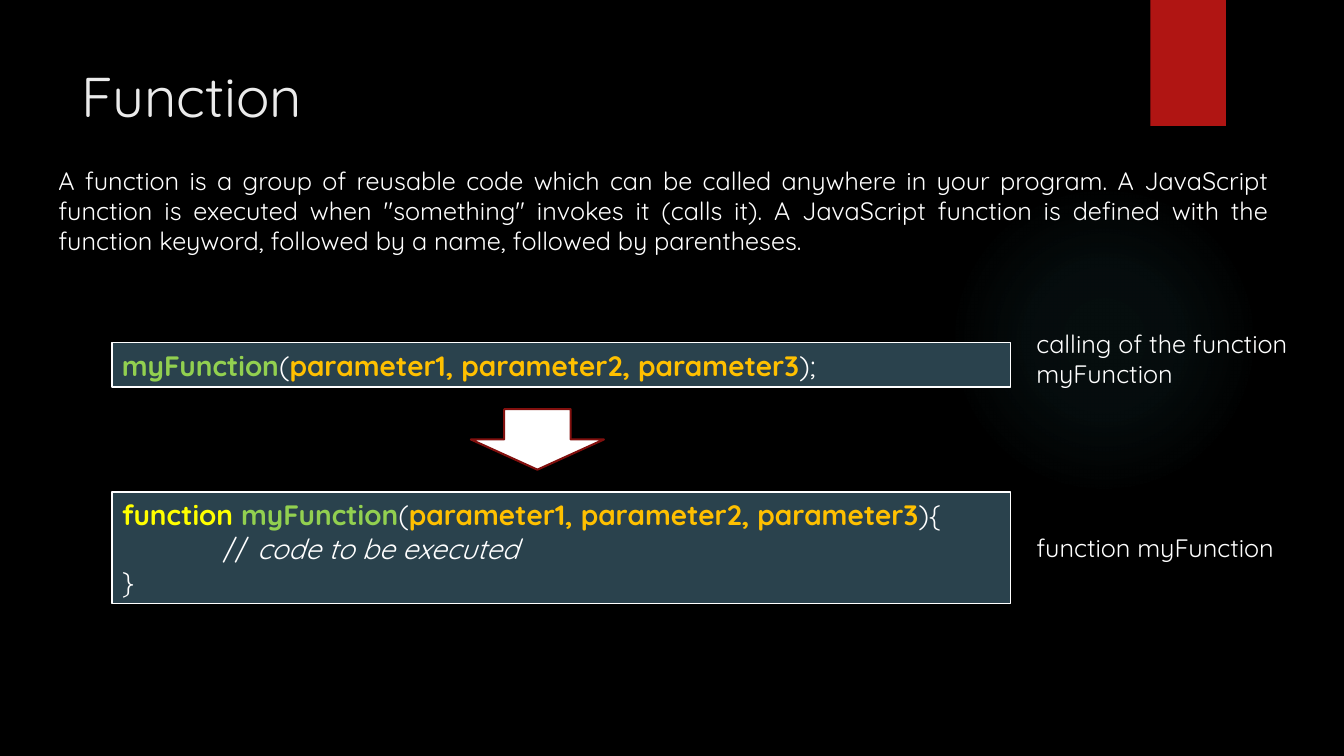
from dataclasses import dataclass

from pptx import Presentation
from pptx.dml.color import RGBColor
from pptx.enum.shapes import MSO_SHAPE as Preset
from pptx.enum.text import MSO_ANCHOR as Anchor, PP_ALIGN as Align
from pptx.oxml import parse_xml
from pptx.oxml.ns import nsdecls
from pptx.shapes.autoshape import Shape
from pptx.slide import Slide
from pptx.text.text import TextFrame
from pptx.util import Inches, Pt

BLACK = RGBColor(0x00, 0x00, 0x00)
WHITE = RGBColor(0xFF, 0xFF, 0xFF)
TITLE_GREY = RGBColor(0xEB, 0xEB, 0xEB)
GLOW_TEAL = RGBColor(0x50, 0xB9, 0xC1)
RIBBON_RED = RGBColor(0xB0, 0x15, 0x13)
DARK_RED = RGBColor(0x82, 0x10, 0x0E)
SLATE = RGBColor(0x2A, 0x42, 0x4D)
KEYWORD_YELLOW = RGBColor(0xFF, 0xFF, 0x00)
NAME_GREEN = RGBColor(0x92, 0xD0, 0x50)
PARAMETER_ORANGE = RGBColor(0xFF, 0xC0, 0x00)
FONT = "Quicksand"
GLOW_STOPS = ((0, 7), (36, 6), (69, 0))


@dataclass(frozen=True)
class Box:
    left: float
    top: float
    width: float
    height: float

    def lengths(self) -> tuple[Inches, Inches, Inches, Inches]:
        return Inches(self.left), Inches(self.top), Inches(self.width), Inches(self.height)


@dataclass(frozen=True)
class Token:
    text: str
    color: RGBColor = WHITE
    bold: bool = False
    italic: bool = False


@dataclass(frozen=True)
class CodeBlock:
    box: Box
    lines: tuple[tuple[Token, ...], ...]


@dataclass(frozen=True)
class Note:
    box: Box
    text: str
    align: Align = Align.LEFT


CALL = (
    Token("myFunction", NAME_GREEN, bold=True),
    Token("("),
    Token("parameter1, parameter2, parameter3", PARAMETER_ORANGE, bold=True),
)
CODE_BLOCKS = (
    CodeBlock(Box(1.11, 3.4, 8.91, 0.44), ((*CALL, Token(");")),)),
    CodeBlock(
        Box(1.11, 4.88, 8.91, 1.11),
        (
            (Token("function ", KEYWORD_YELLOW, bold=True), *CALL, Token("){")),
            (Token("\t\t// "), Token("code to be executed", italic=True)),
            (Token("}"),),
        ),
    ),
)
NOTES = (
    Note(
        Box(0.48, 1.59, 12.2, 1.01),
        "A function is a group of reusable code which can be called anywhere in your program. "
        'A JavaScript function is executed when "something" invokes it (calls it). '
        "A JavaScript function is defined with the function keyword, followed by a name, "
        "followed by parentheses.",
        Align.JUSTIFY,
    ),
    Note(Box(10.18, 3.21, 3.01, 0.71), "calling of the function myFunction"),
    Note(Box(10.18, 5.23, 2.93, 0.4), "function myFunction"),
)


def add_panel(slide: Slide, preset: Preset, box: Box, fill: RGBColor,
              line: RGBColor | None = None, line_width: float = 1) -> Shape:
    shape = slide.shapes.add_shape(preset, *box.lengths())
    shape.shadow.inherit = False
    shape.fill.solid()
    shape.fill.fore_color.rgb = fill
    if line is None:
        shape.line.fill.background()
    else:
        shape.line.color.rgb = line
        shape.line.width = Pt(line_width)
    return shape


def add_glow(slide: Slide, box: Box) -> None:
    shape = add_panel(slide, Preset.OVAL, box, GLOW_TEAL)
    stops = "".join(
        f'<a:gs pos="{position * 1000}"><a:srgbClr val="{GLOW_TEAL}">'
        f'<a:alpha val="{alpha * 1000}"/></a:srgbClr></a:gs>'
        for position, alpha in GLOW_STOPS
    )
    gradient = parse_xml(
        f'<a:gradFill {nsdecls("a")} rotWithShape="1"><a:gsLst>{stops}</a:gsLst>'
        '<a:path path="circle"><a:fillToRect l="50000" t="50000" r="50000" b="50000"/>'
        "</a:path></a:gradFill>"
    )
    properties = shape.element.spPr
    properties.replace(properties.find("{*}solidFill"), gradient)


def format_text(frame: TextFrame, size: float, color: RGBColor, align: Align) -> None:
    frame.word_wrap = True
    for paragraph in frame.paragraphs:
        paragraph.alignment = align
        for run in paragraph.runs:
            run.font.name = FONT
            run.font.size = Pt(size)
            run.font.color.rgb = color


def add_code(slide: Slide, block: CodeBlock) -> None:
    frame = add_panel(slide, Preset.RECTANGLE, block.box, SLATE, WHITE).text_frame
    frame.vertical_anchor = Anchor.MIDDLE
    frame.text = "\n".join("" for _ in block.lines)
    for paragraph, tokens in zip(frame.paragraphs, block.lines):
        for token in tokens:
            paragraph.add_run().text = token.text
    format_text(frame, 20, WHITE, Align.LEFT)
    for paragraph, tokens in zip(frame.paragraphs, block.lines):
        for run, token in zip(paragraph.runs, tokens):
            run.font.color.rgb = token.color
            run.font.bold = token.bold
            run.font.italic = token.italic


def add_note(slide: Slide, note: Note) -> None:
    frame = slide.shapes.add_textbox(*note.box.lengths()).text_frame
    frame.text = note.text
    format_text(frame, 18, WHITE, note.align)


def set_title(slide: Slide, text: str, box: Box) -> None:
    title = slide.shapes.title
    title.left, title.top, title.width, title.height = box.lengths()
    title.text_frame.text = text
    title.text_frame.vertical_anchor = Anchor.MIDDLE
    format_text(title.text_frame, 40, TITLE_GREY, Align.LEFT)


def main() -> None:
    presentation = Presentation()
    presentation.slide_width = Inches(13.33)
    presentation.slide_height = Inches(7.5)
    slide = presentation.slides.add_slide(presentation.slide_layouts[5])
    slide.background.fill.solid()
    slide.background.fill.fore_color.rgb = BLACK

    add_glow(slide, Box(9.41, 1.83, 3.08, 3.08))
    add_panel(slide, Preset.RECTANGLE, Box(11.41, 0, 0.75, 1.25), RIBBON_RED)
    set_title(slide, "Function", Box(0.71, 0.5, 10.76, 0.88))
    for block in CODE_BLOCKS:
        add_code(slide, block)
    for note in NOTES:
        add_note(slide, note)
    add_panel(slide, Preset.DOWN_ARROW, Box(4.67, 4.06, 1.32, 0.6), WHITE, DARK_RED, 1.5)

    presentation.save("out.pptx")


if __name__ == "__main__":
    main()
